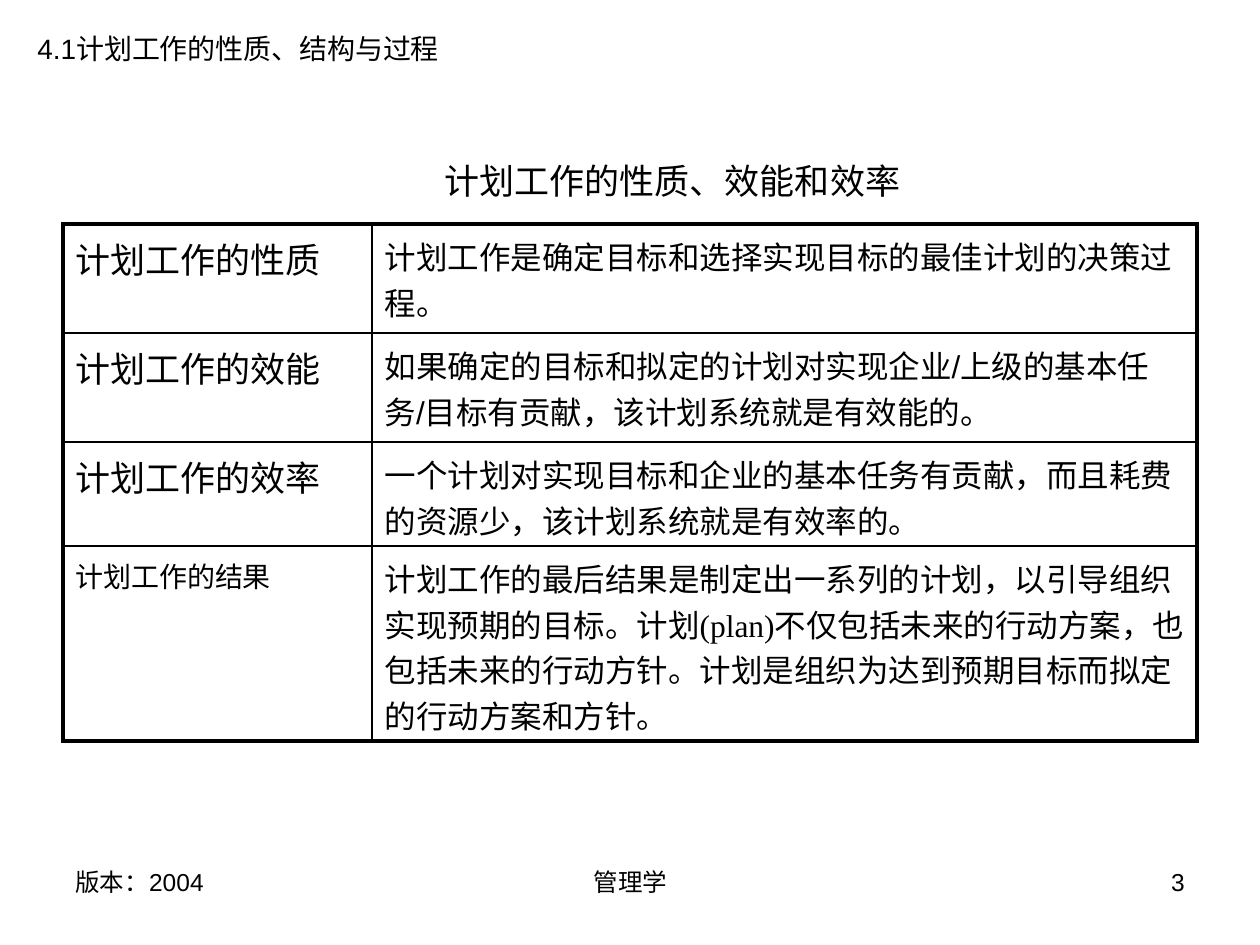
import pptx
import pptx.util
import pptx.dml.color
import pptx.enum.text
from lxml import etree

SCALE = 914400 / 126
INK = "000000"
ALIGN = pptx.enum.text.PP_ALIGN
SANS, SERIF, HAN = "Arial", "Times New Roman", "Noto Sans CJK SC"

# Text boxes: words, (left, top, width, height), size, font, alignment
TEXTS = [
    ("版本：2004", (63, 861, 294, 65), 14, SANS, ALIGN.LEFT),
    ("管理学", (431, 861, 399, 65), 14, SANS, ALIGN.CENTER),
    ("3", (903, 861, 294, 65), 14, SANS, ALIGN.RIGHT),
    ("计划工作的性质、效能和效率", (432, 153, 496, 54), 20, HAN, ALIGN.LEFT),
    ("4.1计划工作的性质、结构与过程", (25, 25, 437, 47), 16, SANS, ALIGN.LEFT),
]

# Table rows: (words, size, font) for each cell
ROWS = [
    [("计划工作的性质", 20, SANS),
     ("计划工作是确定目标和选择实现目标的最佳计划的决策过程。", 18, SANS)],
    [("计划工作的效能", 20, SANS),
     ("如果确定的目标和拟定的计划对实现企业/上级的基本任务/目标有贡献，"
      "该计划系统就是有效能的。", 18, SANS)],
    [("计划工作的效率", 20, SANS),
     ("一个计划对实现目标和企业的基本任务有贡献，而且耗费的资源少，"
      "该计划系统就是有效率的。", 18, SERIF)],
    [("计划工作的结果", 16, SERIF),
     ("计划工作的最后结果是制定出一系列的计划，以引导组织实现预期的目标。"
      "计划(plan)不仅包括未来的行动方案，也包括未来的行动方针。"
      "计划是组织为达到预期目标而拟定的行动方案和方针。", 18, SERIF)],
]
LEFT, TOP = 63, 224
WIDTHS = [309, 825]
HEIGHTS = [109, 109, 104, 195]
THICK, THIN = 2.25, 1


def px(n):
    return pptx.util.Emu(round(n * SCALE))


def color(code):
    return pptx.dml.color.RGBColor.from_string(code)


def write(frame, words, size, face, align=ALIGN.LEFT):
    par = frame.paragraphs[0]
    par.text = words
    par.alignment = align
    par.font.size = pptx.util.Pt(size)
    par.font.name = face
    par.font.color.rgb = color(INK)


def edge(cell, side, width):
    props = cell._tc.get_or_add_tcPr()
    line = etree.SubElement(props, pptx.oxml.ns.qn("a:ln" + side),
                            w=str(pptx.util.Pt(width)))
    fill = etree.SubElement(line, pptx.oxml.ns.qn("a:solidFill"))
    etree.SubElement(fill, pptx.oxml.ns.qn("a:srgbClr"), val=INK)


def add_grid(slide):
    rows, cols = len(HEIGHTS), len(WIDTHS)
    grid = slide.shapes.add_table(
        rows, cols, px(LEFT), px(TOP), px(sum(WIDTHS)), px(sum(HEIGHTS))).table
    grid.first_row = grid.horz_banding = False
    for col, width in zip(grid.columns, WIDTHS):
        col.width = px(width)
    for row, height in zip(grid.rows, HEIGHTS):
        row.height = px(height)
    for r, row in enumerate(ROWS):
        for c, item in enumerate(row):
            cell = grid.cell(r, c)
            write(cell.text_frame, *item)
            cell.margin_top, cell.margin_bottom = px(9), px(2)
            # Outer edges are thick, inner ones thin; borders precede the fill
            outer = {"L": c == 0, "R": c == cols - 1,
                     "T": r == 0, "B": r == rows - 1}
            for side, thick in outer.items():
                edge(cell, side, THICK if thick else THIN)
            cell.fill.background()


def main():
    deck = pptx.Presentation()
    deck.slide_width, deck.slide_height = px(1260), px(945)
    slide = deck.slides.add_slide(deck.slide_layouts[6])

    # Heading, table title and footer
    for words, place, size, face, align in TEXTS:
        box = slide.shapes.add_textbox(*map(px, place))
        box.text_frame.word_wrap = True
        if align == ALIGN.LEFT:
            box.text_frame.margin_right = 0
        write(box.text_frame, words, size, face, align)

    add_grid(slide)
    deck.save("out.pptx")


if __name__ == "__main__":
    main()
